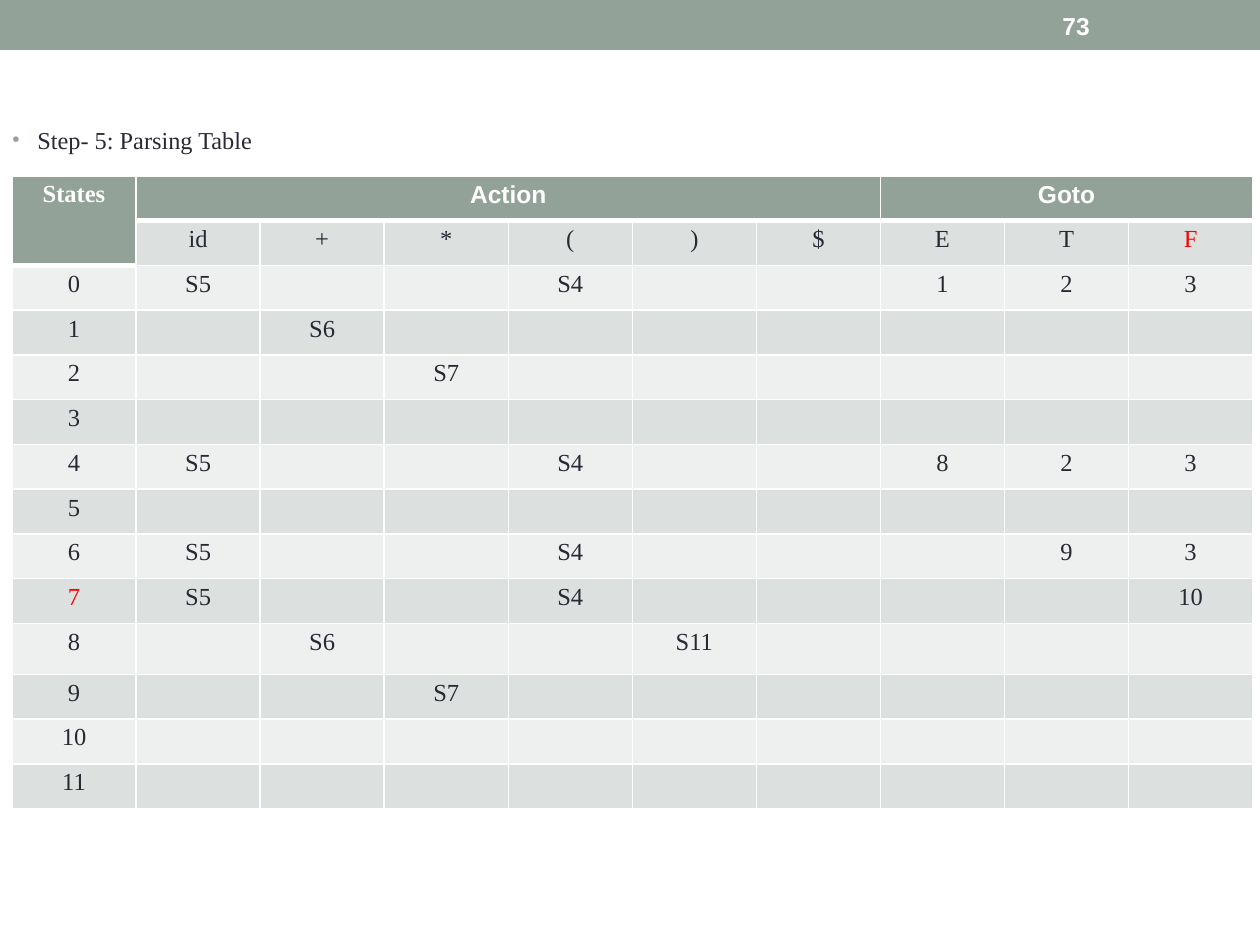
from lxml.etree import SubElement
from pptx import Presentation
from pptx.dml.color import RGBColor
from pptx.enum.shapes import MSO_SHAPE
from pptx.enum.text import MSO_ANCHOR, PP_ALIGN
from pptx.oxml.ns import qn
from pptx.util import Emu, Pt

SAGE, INK, WHITE, RED = "93A299", "292934", "FFFFFF", "FF0000"
BANDS = ["EEF0EF", "DCE0DE"]
SERIF, SANS = "Times New Roman", "Arial"
GROUPS = [("States", 0, 1, 0, SERIF), ("Action", 1, 0, 6, SANS), ("Goto", 7, 0, 9, SANS)]
SYMBOLS = ["id", "+", "*", "(", ")", "$", "E", "T", "F"]
STATES = [
    {"id": "S5", "(": "S4", "E": "1", "T": "2", "F": "3"},
    {"+": "S6"},
    {"*": "S7"},
    {},
    {"id": "S5", "(": "S4", "E": "8", "T": "2", "F": "3"},
    {},
    {"id": "S5", "(": "S4", "T": "9", "F": "3"},
    {"id": "S5", "(": "S4", "F": "10"},
    {"+": "S6", ")": "S11"},
    {"*": "S7"},
    {},
    {},
]
HIGHLIGHTS = [(1, 9), (9, 0)]
TALL_ROW = 10


def px(length):
    return Emu(length * 914400 // 126)


def color(value):
    return RGBColor.from_string(value)


def style(para, size, face, ink, bold=False):
    font = para.font
    font.size, font.name, font.bold = Pt(size), face, bold
    font.color.rgb = color(ink)


def add_text(page, text, area, size, face, ink, bold=False, bullet=False):
    frame = page.shapes.add_textbox(*map(px, area)).text_frame
    frame.word_wrap = True
    para = frame.paragraphs[0]
    para.text = text
    if bullet:
        props = para._p.get_or_add_pPr()
        props.set("marL", str(px(25)))
        props.set("indent", str(-px(25)))
        SubElement(SubElement(props, qn("a:buClr")), qn("a:srgbClr"), val=SAGE)
        SubElement(props, qn("a:buSzPct"), val="85000")
        SubElement(props, qn("a:buFont"), typeface=SANS)
        SubElement(props, qn("a:buChar"), char="•")
    style(para, size, face, ink, bold)
    return frame


def set_borders(cell, thick_sides):
    props = cell._tc.get_or_add_tcPr()
    for side in "LRTB":
        width = Pt(3 if side in thick_sides else 1)
        line = SubElement(props, qn(f"a:ln{side}"), w=str(width))
        SubElement(SubElement(line, qn("a:solidFill")), qn("a:srgbClr"), val=WHITE)


def fill_cell(cell, text, fill, face, ink, bold, thick_sides):
    set_borders(cell, thick_sides)
    cell.fill.solid()
    cell.fill.fore_color.rgb = color(fill)
    cell.margin_left = cell.margin_right = px(9)
    cell.margin_top = cell.margin_bottom = px(5)
    para = cell.text_frame.paragraphs[0]
    para.alignment = PP_ALIGN.CENTER
    if text:
        para.text = text
    else:
        SubElement(para._p, qn("a:endParaRPr"), sz="1400")
    style(para, 14, face, ink, bold)


def add_parsing_table(page):
    headings = {(0, column): (text, face) for text, column, _, _, face in GROUPS}
    grid = [[""] * 10, ["", *SYMBOLS]]
    for number, moves in enumerate(STATES):
        grid.append([str(number), *(moves.get(symbol, "") for symbol in SYMBOLS)])
    table = page.shapes.add_table(len(grid), 10, px(12), px(176), px(1241), px(633)).table
    for column in table.columns:
        column.width = px(1241) // 10
    for row, values in enumerate(grid):
        table.rows[row].height = px(51) if row == TALL_ROW else px(582) // 13
        for column, value in enumerate(values):
            last_heading_row = 1 if column == 0 else 0
            heading = row <= last_heading_row
            thick = {last_heading_row: "B", last_heading_row + 1: "T"}.get(row, "")
            text, face = headings.get((row, column), (value, SERIF))
            ink = WHITE if heading else RED if (row, column) in HIGHLIGHTS else INK
            fill = SAGE if heading else BANDS[row % 2]
            fill_cell(table.cell(row, column), text, fill, face, ink, heading, thick)
    for _, first, last_row, last, _ in GROUPS:
        table.cell(0, first).merge(table.cell(last_row, max(first, last)))


def main():
    """Build the parsing table slide."""
    deck = Presentation()
    deck.slide_width, deck.slide_height = px(1260), px(945)
    page = deck.slides.add_slide(deck.slide_layouts[6])
    band = page.shapes.add_shape(MSO_SHAPE.RECTANGLE, 0, 0, px(1260), px(50))
    band.shadow.inherit = False
    band.fill.solid()
    band.fill.fore_color.rgb = color(SAGE)
    band.line.fill.background()
    add_text(page, "Step- 5: Parsing Table", (0, 119, 280, 53), 13.9, SERIF, INK, bullet=True)
    number = add_text(page, "73", (1050, 3, 147, 45), 14, SANS, WHITE, bold=True)
    number.vertical_anchor = MSO_ANCHOR.MIDDLE
    add_parsing_table(page)
    deck.save("out.pptx")


if __name__ == "__main__":
    main()
